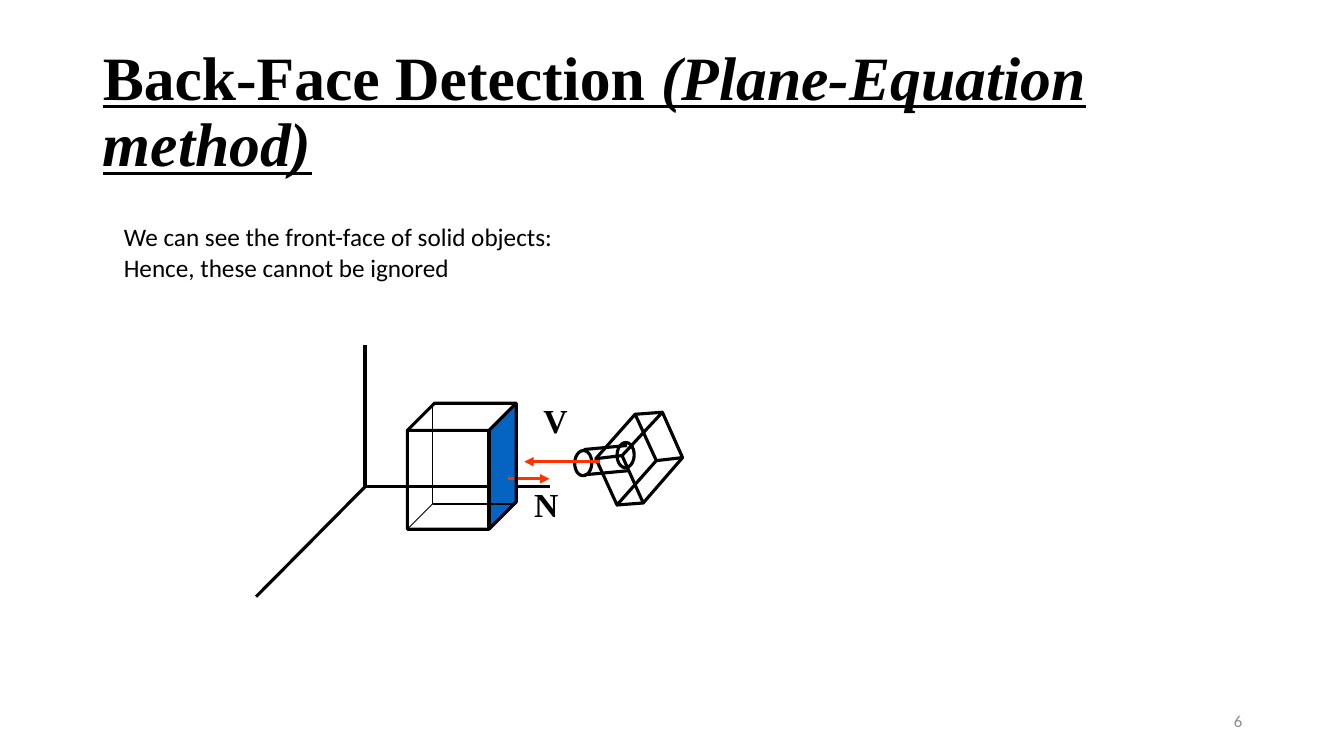
from lxml import etree
from pptx import Presentation
from pptx.dml.color import RGBColor
from pptx.enum.shapes import MSO_CONNECTOR, MSO_SHAPE
from pptx.enum.text import MSO_ANCHOR, MSO_AUTO_SIZE, PP_ALIGN
from pptx.oxml.ns import qn
from pptx.util import Pt

PX = 9144  # EMU per px, 100 px to the inch
BLACK = RGBColor(0x00, 0x00, 0x00)
GREY = RGBColor(0x8C, 0x8C, 0x8C)
BLUE = RGBColor(0x05, 0x63, 0xC1)
RED = RGBColor(0xFF, 0x33, 0x00)
STRAIGHT = MSO_CONNECTOR.STRAIGHT
CUBE, OVAL = MSO_SHAPE.CUBE, MSO_SHAPE.OVAL
MIDDLE, RIGHT = MSO_ANCHOR.MIDDLE, PP_ALIGN.RIGHT
NO_FIT, GROW = MSO_AUTO_SIZE.NONE, MSO_AUTO_SIZE.SHAPE_TO_FIT_TEXT
SERIF, SANS = "Times New Roman", "Calibri"
THICK, THIN = 2.25, 0.75

prs = Presentation()
prs.slide_width, prs.slide_height = 1333 * PX, 750 * PX
slide = prs.slides.add_slide(prs.slide_layouts[5])
drawing = slide.shapes.add_group_shape().shapes


def add_line(start, end, color=BLACK, width=THICK, arrow=False):
    line = drawing.add_connector(STRAIGHT, *(v * PX for v in (*start, *end)))
    line.line.color.rgb = color
    line.line.width = Pt(width)
    if arrow:
        etree.SubElement(line.line._get_or_add_ln(), qn("a:tailEnd"), type="triangle")
    etree.SubElement(line._element.spPr, qn("a:effectLst"))


def outline(shape, width=THICK, fill=None):
    shape.shadow.inherit = False
    shape.line.color.rgb = BLACK
    shape.line.width = Pt(width)
    if fill is None:
        shape.fill.background()
    else:
        shape.fill.solid()
        shape.fill.fore_color.rgb = fill


# Coordinate axes
ORIGIN = (362, 483)
for axis_end in ((545, 483), (362, 342), (254, 592)):
    add_line(ORIGIN, axis_end)

# Solid with its visible face, normal and hidden edges
face = drawing.build_freeform(485, 524, scale=PX)
face.add_line_segments([(485, 427), (512, 400), (512, 497)], close=True)
outline(face.convert_to_shape(), THIN, BLUE)
add_line((504, 475), (545, 475), RED, arrow=True)
solid = drawing.add_shape(CUBE, 404 * PX, 400 * PX, 108 * PX, 125 * PX)
solid.adjustments[0] = 0.25
outline(solid)
HIDDEN_CORNER = (429, 500)
for corner in ((429, 400), (404, 525), (512, 500)):
    add_line(HIDDEN_CORNER, corner, width=THIN)

# Camera body: two outlines joined corner to corner
near_side = [(591, 455), (612, 501), (651, 457), (630, 411)]
far_side = [(617, 452), (638, 499), (677, 454), (657, 409)]
for side in (near_side, far_side):
    body = drawing.build_freeform(*side[0], scale=PX)
    body.add_line_segments(side[1:], close=True)
    outline(body.convert_to_shape())
for near, far in zip(near_side, far_side):
    add_line(near, far)

# Camera lens
for left, top in ((612, 439), (570, 447)):
    ring = drawing.add_shape(OVAL, left * PX, top * PX, 17 * PX, 25 * PX)
    ring.rotation = 1.8
    outline(ring)
add_line((579, 446), (622, 442))
add_line((580, 471), (623, 467))

# Viewing direction
add_line((595, 458), (520, 458), RED, arrow=True)

# Vector labels
for letter, left, top in (("V", 529, 392), ("N", 520, 475)):
    label = drawing.add_textbox(left * PX, top * PX, 44 * PX, 50 * PX).text_frame
    label.word_wrap = False
    label.auto_size = GROW
    run = label.paragraphs[0].add_run()
    run.text = letter
    for name, value in dict(name=SERIF, size=Pt(24), bold=True).items():
        setattr(run.font, name, value)
    run.font.color.rgb = BLACK

# Title
title = slide.shapes.title
title.left, title.top, title.width, title.height = 92 * PX, 40 * PX, 1150 * PX, 145 * PX
heading = title.text_frame
heading.word_wrap = True
heading.auto_size = NO_FIT
heading.vertical_anchor = MIDDLE
heading.paragraphs[0].alignment = PP_ALIGN.LEFT
heading.paragraphs[0].line_spacing = 0.9
for text, italic in (("Back-Face Detection ", False), ("(Plane-Equation method)", True)):
    run = heading.paragraphs[0].add_run()
    run.text = text
    title_format = dict(name=SERIF, size=Pt(44), bold=True, underline=True, italic=italic)
    for name, value in title_format.items():
        setattr(run.font, name, value)
    run.font.color.rgb = BLACK

# Explanation
explanation = slide.shapes.add_textbox(113 * PX, 215 * PX, 976 * PX, 71 * PX).text_frame
explanation.word_wrap = True
explanation.auto_size = GROW
explanation.text = "We can see the front-face of solid objects:\nHence, these cannot be ignored"
for paragraph in explanation.paragraphs:
    paragraph.font.name = SANS
    paragraph.font.size = Pt(18)
    paragraph.font.color.rgb = BLACK

# Slide number
number = slide.shapes.add_textbox(942 * PX, 695 * PX, 300 * PX, 40 * PX).text_frame
number.word_wrap = True
number.vertical_anchor = MIDDLE
number.text = "6"
number.paragraphs[0].alignment = RIGHT
number.paragraphs[0].font.name = SANS
number.paragraphs[0].font.size = Pt(12)
number.paragraphs[0].font.color.rgb = GREY

prs.save("out.pptx")
